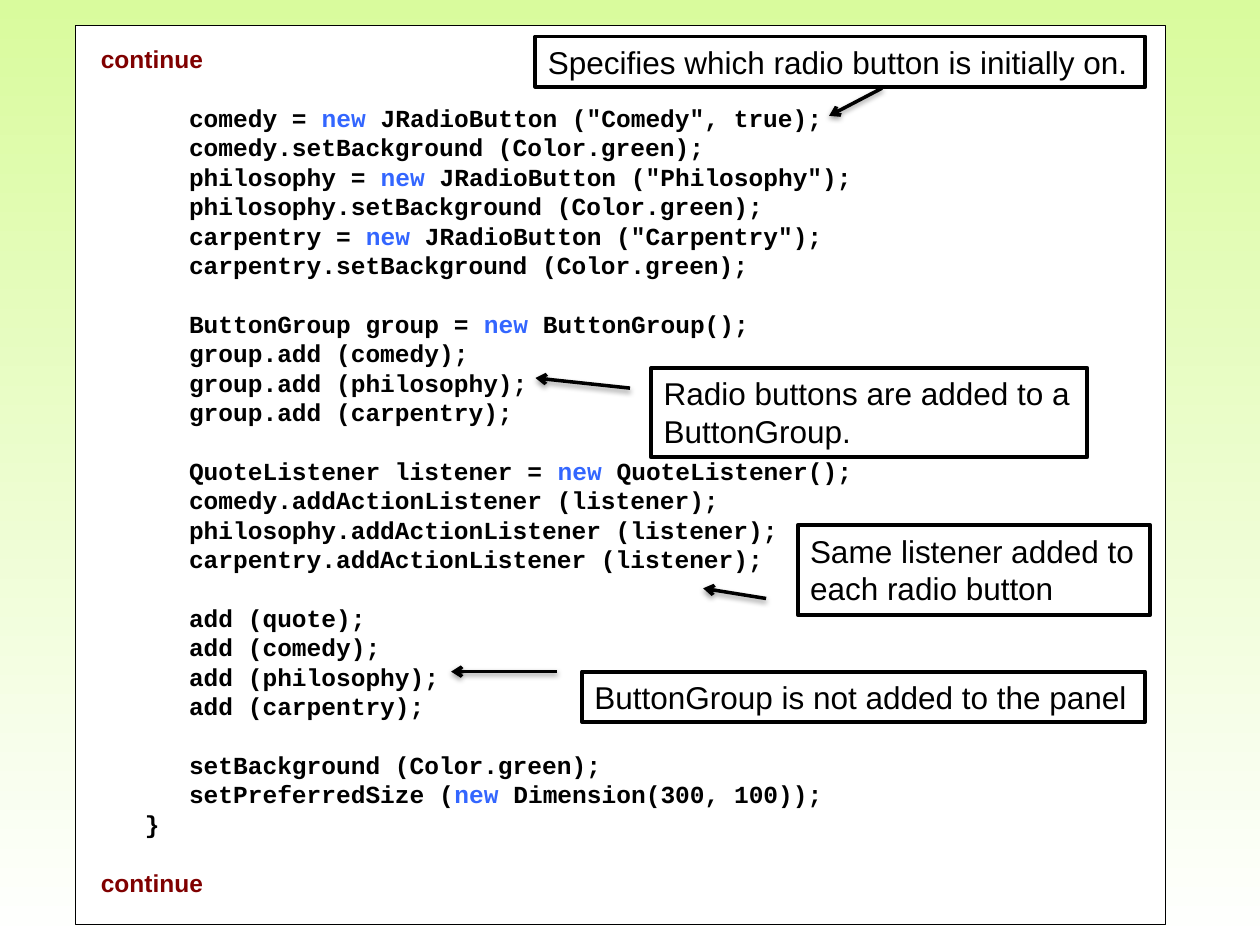
from dataclasses import dataclass

from lxml.etree import SubElement
from pptx import Presentation
from pptx.dml.color import RGBColor
from pptx.enum.shapes import MSO_CONNECTOR, MSO_SHAPE
from pptx.enum.text import MSO_ANCHOR, MSO_AUTO_SIZE, PP_ALIGN
from pptx.oxml.ns import qn
from pptx.util import Pt


@dataclass(frozen=True)
class Theme:
    """Colours, fonts and type sizes of the slide."""
    sky: RGBColor = RGBColor(0xD9, 0xFB, 0x9D)
    paper: RGBColor = RGBColor(0xFF, 0xFF, 0xFF)
    ink: RGBColor = RGBColor(0, 0, 0)
    keyword: RGBColor = RGBColor(0x33, 0x66, 0xFF)
    marker: RGBColor = RGBColor(0x80, 0, 0)
    sans: str = "Arial"
    mono: str = "Courier New"
    code_size: float = 14
    code_pitch: float = 16.8
    char_width: float = 8.4
    note_size: float = 18


@dataclass(frozen=True)
class Box:
    """A region in points."""
    left: float
    top: float
    width: float
    height: float

    def emu(self):
        """Return the region as lengths."""
        return [Pt(v) for v in (self.left, self.top, self.width, self.height)]

    def point(self, offset):
        """Return the position at an offset from the top left corner."""
        return Pt(self.left + offset[0]), Pt(self.top + offset[1])


THEME = Theme()
KEYWORD = "new "
CODE_BLOCKS = [
    ['comedy = new JRadioButton ("Comedy", true);',
     "comedy.setBackground (Color.green);",
     'philosophy = new JRadioButton ("Philosophy");',
     "philosophy.setBackground (Color.green);",
     'carpentry = new JRadioButton ("Carpentry");',
     "carpentry.setBackground (Color.green);"],
    ["ButtonGroup group = new ButtonGroup();",
     "group.add (comedy);",
     "group.add (philosophy);",
     "group.add (carpentry);"],
    ["QuoteListener listener = new QuoteListener();",
     "comedy.addActionListener (listener);",
     "philosophy.addActionListener (listener);",
     "carpentry.addActionListener (listener);"],
    ["add (quote);",
     "add (comedy);",
     "add (philosophy);",
     "add (carpentry);"],
    ["setBackground (Color.green);",
     "setPreferredSize (new Dimension(300, 100));",
     "}"],
]
CALLOUTS = [
    (Box(306, 20.9, 348.5, 28.8),
     ["Specifies which radio button is initially on."],
     (198, 29.5), (167.8, 45.3)),
    (Box(372.2, 210.2, 249.1, 51.1),
     ["Radio buttons are added to a", "ButtonGroup."],
     (-12.2, 11.6), (-66.2, 5.8)),
    (Box(455.8, 300.2, 201.6, 51.1),
     ["Same listener added to", "each radio button"],
     (-18, 41.8), (-54, 36)),
    (Box(332.6, 383.8, 321.8, 28.8),
     ["ButtonGroup is not added to the panel"],
     (-14.4, 0), (-74.8, 0)),
]


def add_run(paragraph, text, font, size, color, bold=False):
    """Append one formatted run."""
    run = paragraph.add_run()
    run.text = text
    run.font.name = font
    run.font.size = Pt(size)
    run.font.bold = bold
    run.font.color.rgb = color


def next_paragraph(frame):
    """Return the unused first paragraph or a new one."""
    first = frame.paragraphs[0]
    return frame.add_paragraph() if first.runs else first


def add_code_line(frame, segments, indent=0, gap=False):
    """Append a line of the listing, indented by a number of characters."""
    paragraph = next_paragraph(frame)
    paragraph.alignment = PP_ALIGN.LEFT
    paragraph.line_spacing = Pt(THEME.code_pitch)
    paragraph.space_before = Pt(THEME.code_pitch if gap else 0)
    properties = paragraph._p.get_or_add_pPr()
    properties.set("marL", str(Pt(indent * THEME.char_width)))
    properties.set("indent", "0")
    for text, font, color in segments:
        if text:
            add_run(paragraph, text, font, THEME.code_size, color, True)


def add_listing(slide, box):
    """Place the code panel with its continuation markers."""
    panel = slide.shapes.add_shape(MSO_SHAPE.RECTANGLE, *box.emu())
    panel.shadow.inherit = False
    panel.fill.solid()
    panel.fill.fore_color.rgb = THEME.paper
    panel.line.color.rgb = THEME.ink
    panel.line.width = Pt(0.75)
    frame = panel.text_frame
    frame.word_wrap = True
    frame.vertical_anchor = MSO_ANCHOR.TOP
    frame.margin_left = frame.margin_right = Pt(14.4)
    frame.margin_top = frame.margin_bottom = Pt(10.8)

    marker = [("continue", THEME.sans, THEME.marker)]
    add_code_line(frame, marker)
    for block in CODE_BLOCKS:
        for row, line in enumerate(block):
            before, keyword, after = line.partition(KEYWORD)
            segments = [(before, THEME.mono, THEME.ink),
                        (keyword, THEME.mono, THEME.keyword),
                        (after, THEME.mono, THEME.ink)]
            add_code_line(frame, segments, 3 if line == "}" else 6, row == 0)
    add_code_line(frame, marker, gap=True)


def add_arrow(slide, start, tip):
    """Draw an arrow with a soft shadow below it."""
    arrow = slide.shapes.add_connector(MSO_CONNECTOR.STRAIGHT, *start, *tip)
    arrow.line.color.rgb = THEME.ink
    arrow.line.width = Pt(2)
    SubElement(arrow.line._get_or_add_ln(), qn("a:tailEnd"), type="arrow")
    effects = SubElement(arrow._element.spPr, qn("a:effectLst"))
    shadow = SubElement(effects, qn("a:outerShdw"), blurRad=str(Pt(3.1)),
                        dist=str(Pt(1.6)), dir="5400000", rotWithShape="0")
    color = SubElement(shadow, qn("a:srgbClr"), val=str(THEME.ink))
    SubElement(color, qn("a:alpha"), val="38000")


def add_callout(slide, box, lines, start, tip):
    """Place a framed note and the arrow from it to the code."""
    note = slide.shapes.add_textbox(*box.emu())
    note.line.color.rgb = THEME.ink
    note.line.width = Pt(2.25)
    frame = note.text_frame
    frame.word_wrap = False
    frame.auto_size = MSO_AUTO_SIZE.SHAPE_TO_FIT_TEXT
    for line in lines:
        add_run(next_paragraph(frame), line, THEME.sans, THEME.note_size, THEME.ink)
    add_arrow(slide, box.point(start), box.point(tip))


def paint_background(slide):
    """Fill the slide with a gradient from top to bottom."""
    fill = slide.background.fill
    fill.gradient()
    fill.gradient_angle = 270
    for stop, color in zip(fill.gradient_stops, (THEME.sky, THEME.paper)):
        stop.color.rgb = color


def main():
    """Build and save the slide."""
    deck = Presentation()
    deck.slide_width, deck.slide_height = Pt(720), Pt(540)
    slide = deck.slides.add_slide(deck.slide_layouts[6])
    paint_background(slide)
    add_listing(slide, Box(43.2, 14.4, 622.8, 514.1))
    for callout in CALLOUTS:
        add_callout(slide, *callout)
    deck.save("out.pptx")


if __name__ == "__main__":
    main()
